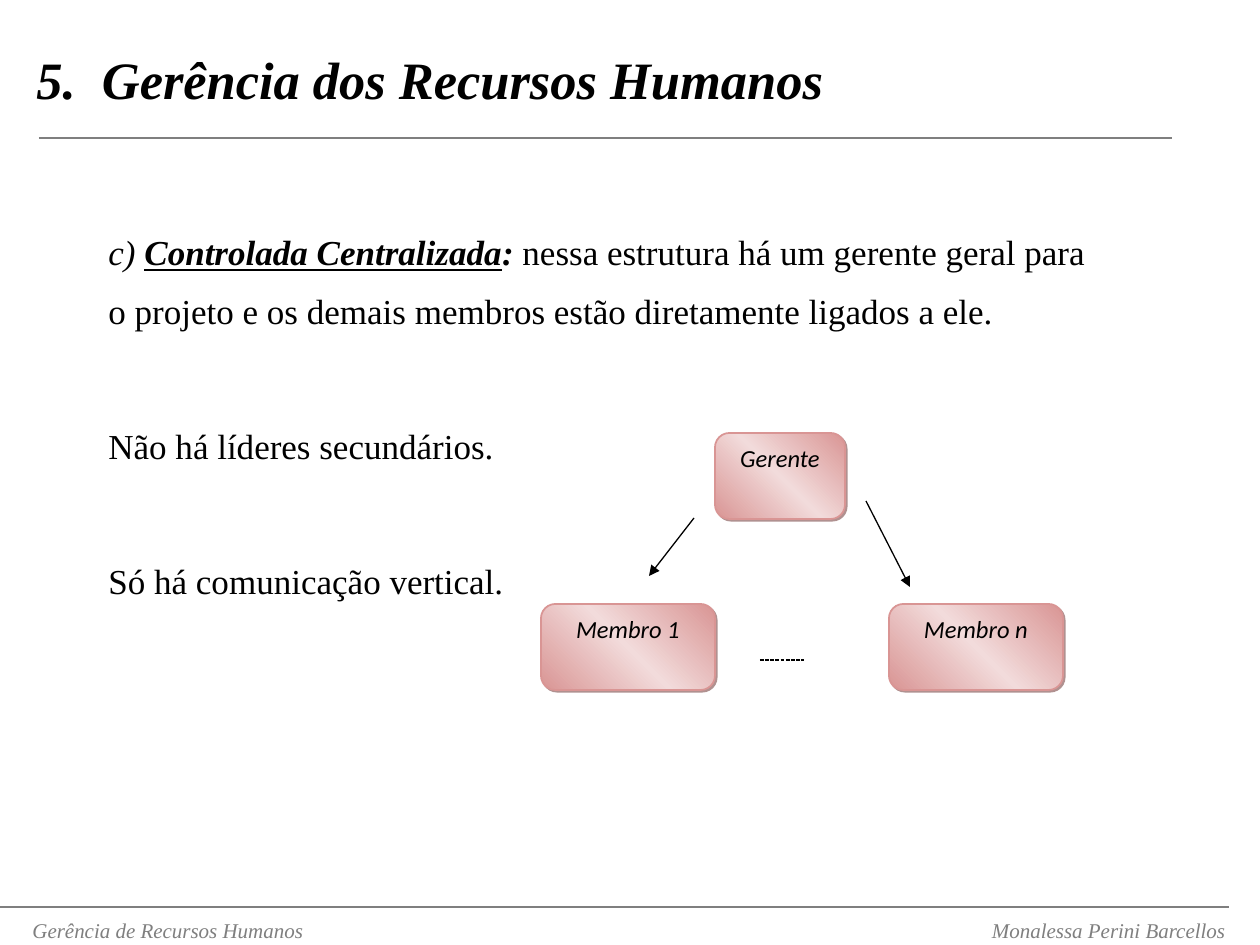
from dataclasses import dataclass

from lxml import etree
from pptx import Presentation
from pptx import util as u
from pptx.dml.color import RGBColor
from pptx.enum import dml, shapes, text
from pptx.oxml import ns

PX = 914400 / 126


@dataclass(frozen=True)
class Theme:
    serif: str = "Times New Roman"
    sans: str = "Calibri"
    black: str = "000000"
    grey: str = "7F7F7F"
    rose: str = "D99594"
    pale_rose: str = "F2DBDB"
    shadow: str = "622423"
    title_size: int = 30
    body_size: int = 20
    box_size: int = 14
    footer_size: int = 12


THEME = Theme()


def px(value):
    return u.Emu(round(value * PX))


def add_xml(parent, tag, **attributes):
    return etree.SubElement(parent, ns.qn(tag), attributes)


def set_font(font, size, name=THEME.serif, color=THEME.black, bold=None, italic=None):
    font.size = u.Pt(size)
    font.name = name
    font.color.rgb = RGBColor.from_string(color)
    font.bold = bold
    font.italic = italic


def add_text_box(slide, left, top, width, height):
    frame = slide.shapes.add_textbox(*map(px, (left, top, width, height))).text_frame
    frame.word_wrap = True
    return frame


def add_title(slide, title):
    frame = add_text_box(slide, 24, 0, 1250, 157)
    frame.vertical_anchor = text.MSO_ANCHOR.MIDDLE
    paragraph = frame.paragraphs[0]
    paragraph.text = title
    set_font(paragraph.font, THEME.title_size, bold=True, italic=True)


def add_body(slide, lead_runs, remarks):
    """Lead paragraph of (words, bold, italic, underline) runs, then spaced remarks."""
    frame = add_text_box(slide, 96, 208, 1024, 410)
    lead = frame.paragraphs[0]
    for words, bold, italic, underline in lead_runs:
        run = lead.add_run()
        run.text = words
        set_font(run.font, THEME.body_size, bold=bold, italic=italic)
        run.font.underline = underline
    for remark in remarks:
        paragraph = frame.add_paragraph()
        paragraph.text = remark
        paragraph.space_before = u.Pt(43.6)
        set_font(paragraph.font, THEME.body_size)
    for paragraph in frame.paragraphs:
        paragraph.line_spacing = 1.4


def add_footer(slide, words, left, width, alignment):
    paragraph = add_text_box(slide, left, 911, width, 38).paragraphs[0]
    paragraph.text = words
    paragraph.alignment = alignment
    set_font(paragraph.font, THEME.footer_size, color=THEME.grey, italic=True)


def add_line(slide, start, end, color, width=0.75, arrow=False):
    connector = slide.shapes.add_connector(
        shapes.MSO_CONNECTOR.STRAIGHT, *map(px, (*start, *end)))
    connector.line.color.rgb = RGBColor.from_string(color)
    connector.line.width = u.Pt(width)
    properties = connector._element.spPr
    if arrow:
        add_xml(properties.find(ns.qn("a:ln")), "a:tailEnd", type="triangle")
    add_xml(properties, "a:effectLst")
    return connector


def set_gradient(shape):
    """Pale diagonal band between two darker corners."""
    shape.fill.gradient()
    gradient = shape._element.spPr.find(ns.qn("a:gradFill"))
    for child in list(gradient):
        gradient.remove(child)
    stops = add_xml(gradient, "a:gsLst")
    for position, color in ((0, THEME.rose), (50, THEME.pale_rose), (100, THEME.rose)):
        stop = add_xml(stops, "a:gs", pos=str(position * 1000))
        add_xml(stop, "a:srgbClr", val=color)
    add_xml(gradient, "a:lin", ang=str(135 * 60000), scaled="0")


def set_shadow(shape):
    shape.shadow.inherit = False
    effects = shape._element.spPr.find(ns.qn("a:effectLst"))
    shadow = add_xml(effects, "a:outerShdw", blurRad="0", dist=str(u.Pt(1.4)),
                     dir=str(45 * 60000), algn="ctr", rotWithShape="0")
    color = add_xml(shadow, "a:srgbClr", val=THEME.shadow)
    add_xml(color, "a:alpha", val="50000")


def add_role(slide, name, left, top, width, height=86):
    shape = slide.shapes.add_shape(
        shapes.MSO_SHAPE.FLOWCHART_ALTERNATE_PROCESS,
        *map(px, (left, top, width, height)))
    set_gradient(shape)
    shape.line.color.rgb = RGBColor.from_string(THEME.rose)
    shape.line.width = u.Pt(1)
    set_shadow(shape)
    frame = shape.text_frame
    frame.vertical_anchor = text.MSO_ANCHOR.TOP
    paragraph = frame.paragraphs[0]
    paragraph.text = name
    paragraph.alignment = text.PP_ALIGN.CENTER
    set_font(paragraph.font, THEME.box_size, name=THEME.sans, italic=True)


def main():
    presentation = Presentation()
    presentation.slide_width, presentation.slide_height = px(1260), px(945)
    slide = presentation.slides.add_slide(presentation.slide_layouts[6])

    add_body(
        slide,
        [("c) ", False, True, None),
         ("Controlada Centralizada", True, True, True),
         (": ", True, True, None),
         ("nessa estrutura há um gerente geral para o projeto e os demais "
          "membros estão diretamente ligados a ele.", False, False, None)],
        ["Não há líderes secundários.", "Só há comunicação vertical."])
    add_title(slide, "5.  Gerência dos Recursos Humanos")
    add_line(slide, (39, 138), (1172, 138), THEME.grey, width=1)

    add_line(slide, (0, 907), (1229, 907), THEME.grey)
    add_footer(slide, "Gerência de Recursos Humanos", 20, 500, text.PP_ALIGN.LEFT)
    add_footer(slide, "Monalessa Perini Barcellos", 738, 500, text.PP_ALIGN.RIGHT)

    add_role(slide, "Gerente", 715, 433, 130)
    for name, left in (("Membro 1", 541), ("Membro n", 889)):
        add_role(slide, name, left, 604, 174)
    add_line(slide, (694, 518), (649, 576), THEME.black, arrow=True)
    add_line(slide, (866, 501), (910, 587), THEME.black, arrow=True)
    more_members = add_line(slide, (760, 660), (804, 660), THEME.black)
    more_members.line.dash_style = dml.MSO_LINE.SQUARE_DOT

    presentation.save("out.pptx")


if __name__ == "__main__":
    main()
